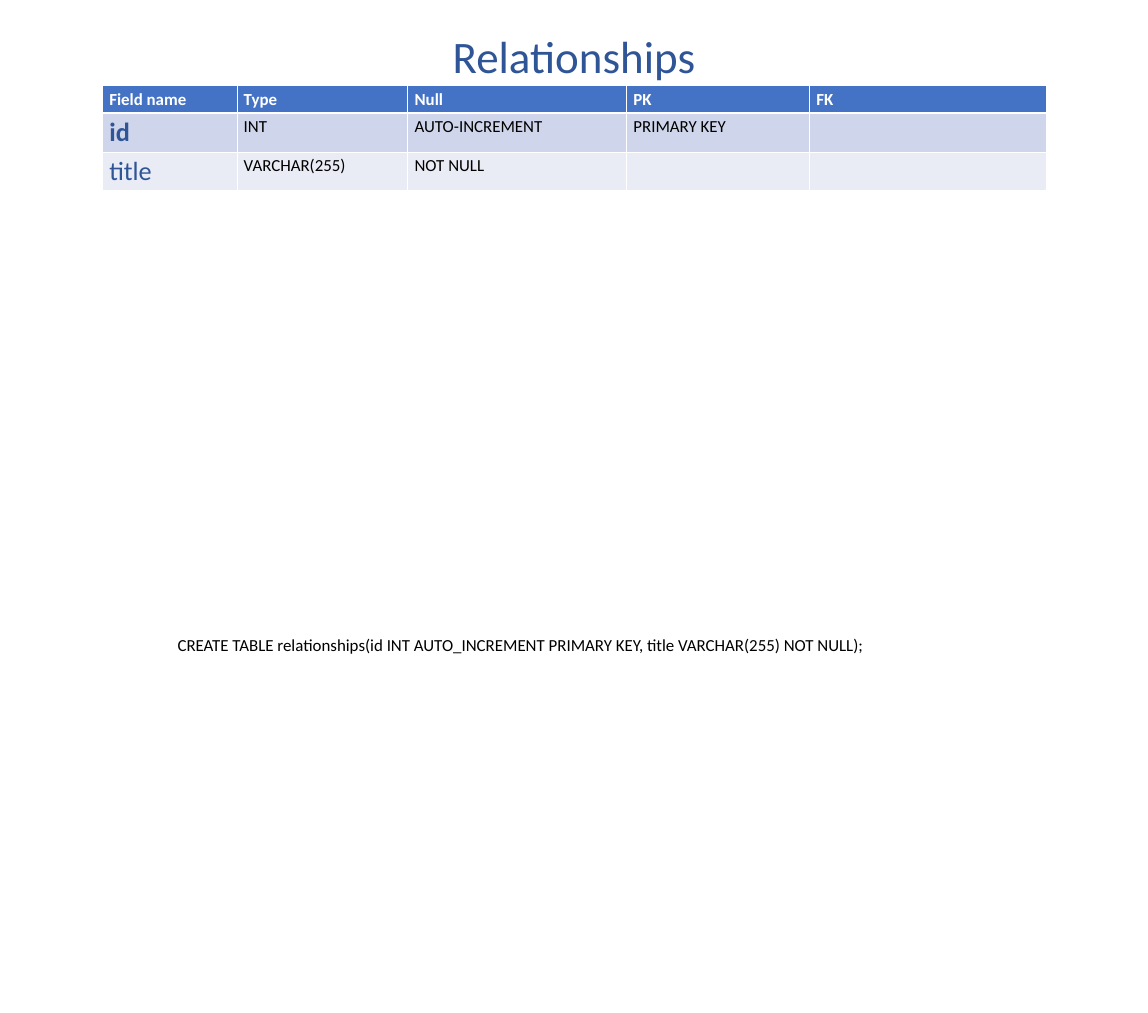
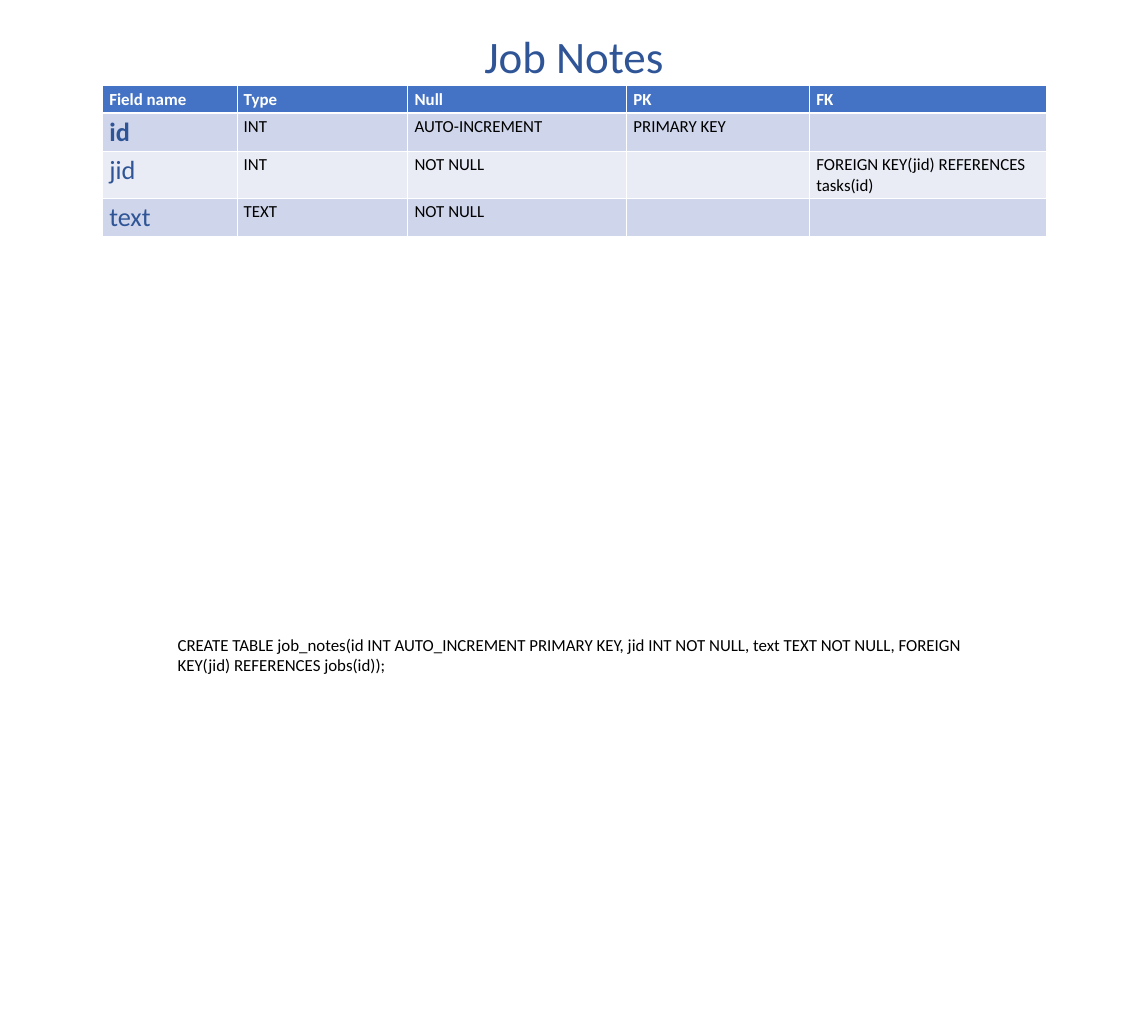
from pptx import Presentation
from pptx.util import Pt
from pptx.dml.color import RGBColor as Rgb
from pptx.enum.text import MSO_AUTO_SIZE as Fit, PP_ALIGN as Align
from pptx.oxml import parse_xml as to_xml
from pptx.oxml.ns import nsdecls

WIDTH, HEIGHT = 1224, 1080
COLS = (143.3, 182.2, 233.3, 195.1, 252)
HEAD = ("Field name", "Type", "Null", "PK", "FK")
ID = ("id", "INT", "AUTO-INCREMENT", "PRIMARY KEY", "")

SLIDES = [
    ("Relationships",
     [ID, ("title", "VARCHAR(255)", "NOT NULL", "", "")],
     "CREATE TABLE relationships(id INT AUTO_INCREMENT PRIMARY KEY, "
     "title VARCHAR(255) NOT NULL);", 29.1),
    ("Job Notes",
     [ID,
      ("jid", "INT", "NOT NULL", "", "FOREIGN KEY(jid) REFERENCES tasks(id)"),
      ("text", "TEXT", "NOT NULL", "", "")],
     "CREATE TABLE job_notes(id INT AUTO_INCREMENT PRIMARY KEY, "
     "jid INT NOT NULL, text TEXT NOT NULL, "
     "FOREIGN KEY(jid) REFERENCES jobs(id));", 50.9),
]


class Deck:
    hues = {"white": "FFFFFF", "black": "000000", "navy": "2F5597",
            "head": "4472C4", "odd": "CFD5EA", "even": "E9EBF5"}
    fonts = {
        "title": {"size": Pt(48), "hue": "navy"},
        "head": {"size": Pt(18), "bold": True, "hue": "white"},
        "key": {"size": Pt(28), "bold": True, "hue": "navy"},
        "field": {"size": Pt(28), "bold": False, "hue": "navy"},
        "body": {"size": Pt(18), "bold": False, "hue": "black"},
    }

    def __init__(self):
        self.show = Presentation()
        self.show.slide_width, self.show.slide_height = Pt(WIDTH), Pt(HEIGHT)
        self.slide = None

    def page(self):
        self.slide = self.show.slides.add_slide(self.show.slide_layouts[6])

    def fill_in(self, frame, text, style):
        """Put one run of text in the frame's first paragraph."""
        run = frame.paragraphs[0].add_run()
        run.text = text
        look = {"name": "Calibri", **self.fonts[style]}
        run.font.color.rgb = Rgb.from_string(self.hues[look.pop("hue")])
        for key, val in look.items():
            setattr(run.font, key, val)

    def text(self, box, text, style, align=Align.LEFT):
        frame = self.slide.shapes.add_textbox(*map(Pt, box)).text_frame
        for key, val in {"word_wrap": True,
                         "auto_size": Fit.SHAPE_TO_FIT_TEXT}.items():
            setattr(frame, key, val)
        frame.paragraphs[0].alignment = align
        self.fill_in(frame, text, style)

    def edge(self, cell, side, width):
        cell._tc.get_or_add_tcPr().append(to_xml(
            f'<a:ln{side} {nsdecls("a")} w="{Pt(width)}"><a:solidFill>'
            f'<a:srgbClr val="{self.hues["white"]}"/></a:solidFill></a:ln{side}>'))

    def cell(self, cell, text, row, col):
        """Style a cell by its place: header row, field column or body."""
        thick = {(0, "B"), (1, "T")}
        for side in "LRTB":
            self.edge(cell, side, 3 if (row, side) in thick else 1)
        band = "head" if row == 0 else "odd" if row % 2 else "even"
        cell.fill.solid()
        cell.fill.fore_color.rgb = Rgb.from_string(self.hues[band])
        if text:
            style = ("head" if row == 0 else "body" if col
                     else "key" if row == 1 else "field")
            self.fill_in(cell.text_frame, text, style)

    def table(self, left, top, rows):
        highs = [21.6] + [29.5] * (len(rows) - 1)
        grid = self.slide.shapes.add_table(
            len(rows), len(COLS), Pt(left), Pt(top),
            Pt(sum(COLS)), Pt(sum(highs))).table
        for col, wide in zip(grid.columns, COLS):
            col.width = Pt(wide)
        for r, (row, high) in enumerate(zip(rows, highs)):
            grid.rows[r].height = Pt(high)
            for c, text in enumerate(row):
                self.cell(grid.cell(r, c), text, r, c)


def main():
    deck = Deck()
    for title, rows, query, high in SLIDES:
        deck.page()
        deck.table(109.4, 91.4, [HEAD, *rows])
        deck.text((WIDTH / 2 - 140, 26.6, 280, 65.5), title, "title",
                  Align.CENTER)
        deck.text((182.2, 673.2, 853.2, high), query, "body")
    deck.show.save("out.pptx")


if __name__ == "__main__":
    main()
